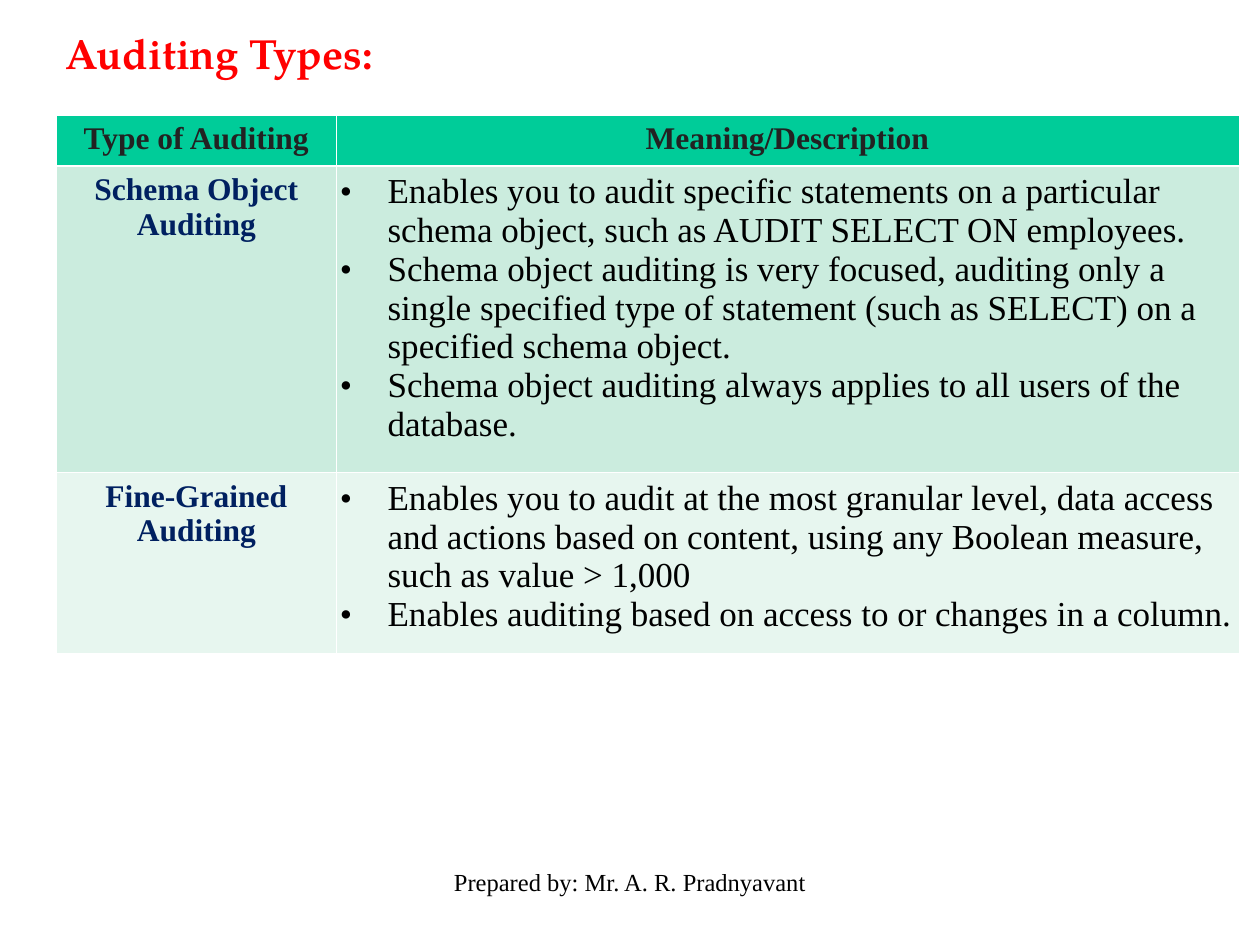
from lxml.etree import SubElement
from pptx import Presentation
from pptx.dml.color import RGBColor
from pptx.enum.text import MSO_ANCHOR, MSO_AUTO_SIZE, PP_ALIGN
from pptx.oxml import parse_xml
from pptx.oxml.ns import nsdecls, qn
from pptx.util import Inches, Pt

RED = RGBColor(0xFF, 0x00, 0x00)
BLACK = RGBColor(0x00, 0x00, 0x00)
WHITE = RGBColor(0xFF, 0xFF, 0xFF)
DARK = RGBColor(0x22, 0x22, 0x22)
NAVY = RGBColor(0x00, 0x20, 0x60)
GREEN = RGBColor(0x00, 0xCC, 0x99)
MINT = RGBColor(0xCB, 0xEC, 0xDE)
PALE = RGBColor(0xE7, 0xF6, 0xEF)

SERIF = "Times New Roman"
THIN, THICK = 0.45, 1.47

HEADS = ["Type of Auditing", "Meaning/Description"]
TYPES = [
    ("Schema Object Auditing", [
        "Enables you to audit specific statements on a particular schema object, "
        "such as AUDIT SELECT ON employees.",
        "Schema object auditing is very focused, auditing only a single specified "
        "type of statement (such as SELECT) on a specified schema object.",
        "Schema object auditing always applies to all users of the database.",
    ]),
    ("Fine-Grained Auditing", [
        "Enables you to audit at the most granular level, data access and actions "
        "based on content, using any Boolean measure, such as value > 1,000",
        "Enables auditing based on access to or changes in a column.",
    ]),
]


class Deck:
    looks = {
        "title": dict(size=Pt(24), name="TeX Gyre Pagella", bold=True, color=RED),
        "foot": dict(size=Pt(14), name=SERIF, bold=False, color=BLACK),
        "head": dict(size=Pt(18), name=SERIF, bold=True, color=DARK),
        "type": dict(size=Pt(18), name=SERIF, bold=True, color=NAVY),
        "list": dict(size=Pt(20), name=SERIF, bold=False, color=BLACK),
    }

    def __init__(self):
        self.prs = Presentation()
        self.prs.slide_width = Inches(10)
        self.prs.slide_height = Inches(7.5)
        self.unit = self.prs.slide_width / 120
        self.slide = self.prs.slides.add_slide(self.prs.slide_layouts[5])

    def grid(self, *cells):
        return [round(n * self.unit) for n in cells]

    def fill_text(self, frame, lines, look, align, listed=False):
        frame.word_wrap = True
        for i, line in enumerate(lines):
            para = frame.paragraphs[0] if i == 0 else frame.add_paragraph()
            para.alignment = align
            if listed:
                self.bullet(para)
            run = para.add_run()
            run.text = line
            for key, value in self.looks[look].items():
                if key == "color":
                    run.font.color.rgb = value
                else:
                    setattr(run.font, key, value)

    def bullet(self, para):
        props = para._p.get_or_add_pPr()
        indent = Inches(0.38)
        props.set("marL", str(indent))
        props.set("indent", str(-indent))
        tint = SubElement(props, qn("a:buClr"))
        SubElement(tint, qn("a:srgbClr"), val=str(BLACK))
        SubElement(props, qn("a:buFont"), typeface=SERIF)
        SubElement(props, qn("a:buChar"), char="•")

    def title(self, text, *place):
        shape = self.slide.shapes.title
        shape.left, shape.top, shape.width, shape.height = self.grid(*place)
        frame = shape.text_frame
        frame.auto_size = MSO_AUTO_SIZE.NONE
        frame.vertical_anchor = MSO_ANCHOR.TOP
        self.fill_text(frame, [text], "title", PP_ALIGN.LEFT)

    def foot(self, text, *place):
        box = self.slide.shapes.add_textbox(*self.grid(*place))
        self.fill_text(box.text_frame, [text], "foot", PP_ALIGN.CENTER)

    def cell(self, cell, lines, look, fill, top, base):
        listed = look == "list"
        cell.margin_left = cell.margin_right = Inches(0.03)
        cell.margin_top = cell.margin_bottom = Inches(0.05)
        cell.fill.solid()
        cell.fill.fore_color.rgb = fill
        props = cell._tc.get_or_add_tcPr()
        edges = dict(lnL=THIN, lnR=THIN, lnT=top, lnB=base)
        for i, (tag, width) in enumerate(edges.items()):
            props.insert(i, parse_xml(
                f'<a:{tag} {nsdecls("a")} w="{Pt(width)}"><a:solidFill>'
                f'<a:srgbClr val="{WHITE}"/></a:solidFill></a:{tag}>'))
        align = PP_ALIGN.LEFT if listed else PP_ALIGN.CENTER
        self.fill_text(cell.text_frame, lines, look, align, listed)

    def table(self, heads, types, left, top, cols, rows):
        place = self.grid(left, top, sum(cols), sum(rows))
        table = self.slide.shapes.add_table(len(rows), len(cols), *place).table
        for col, width in zip(table.columns, self.grid(*cols)):
            col.width = width
        for row, height in zip(table.rows, self.grid(*rows)):
            row.height = height
        for c, head in enumerate(heads):
            self.cell(table.cell(0, c), [head], "head", GREEN, THIN, THICK)
        for r, (name, points) in enumerate(types, 1):
            fill, edge = (MINT, THICK) if r == 1 else (PALE, THIN)
            self.cell(table.cell(r, 0), [name], "type", fill, edge, THIN)
            self.cell(table.cell(r, 1), points, "list", fill, edge, THIN)


def main():
    deck = Deck()
    deck.title("Auditing Types:", 5, 2, 113, 86)
    deck.foot("Prepared by: Mr. A. R. Pradnyavant", 41, 82, 38, 6)
    deck.table(HEADS, TYPES, 5.4, 11, [26.6, 86], [4.8, 28.8, 16.8])
    deck.prs.save("out.pptx")


if __name__ == "__main__":
    main()
